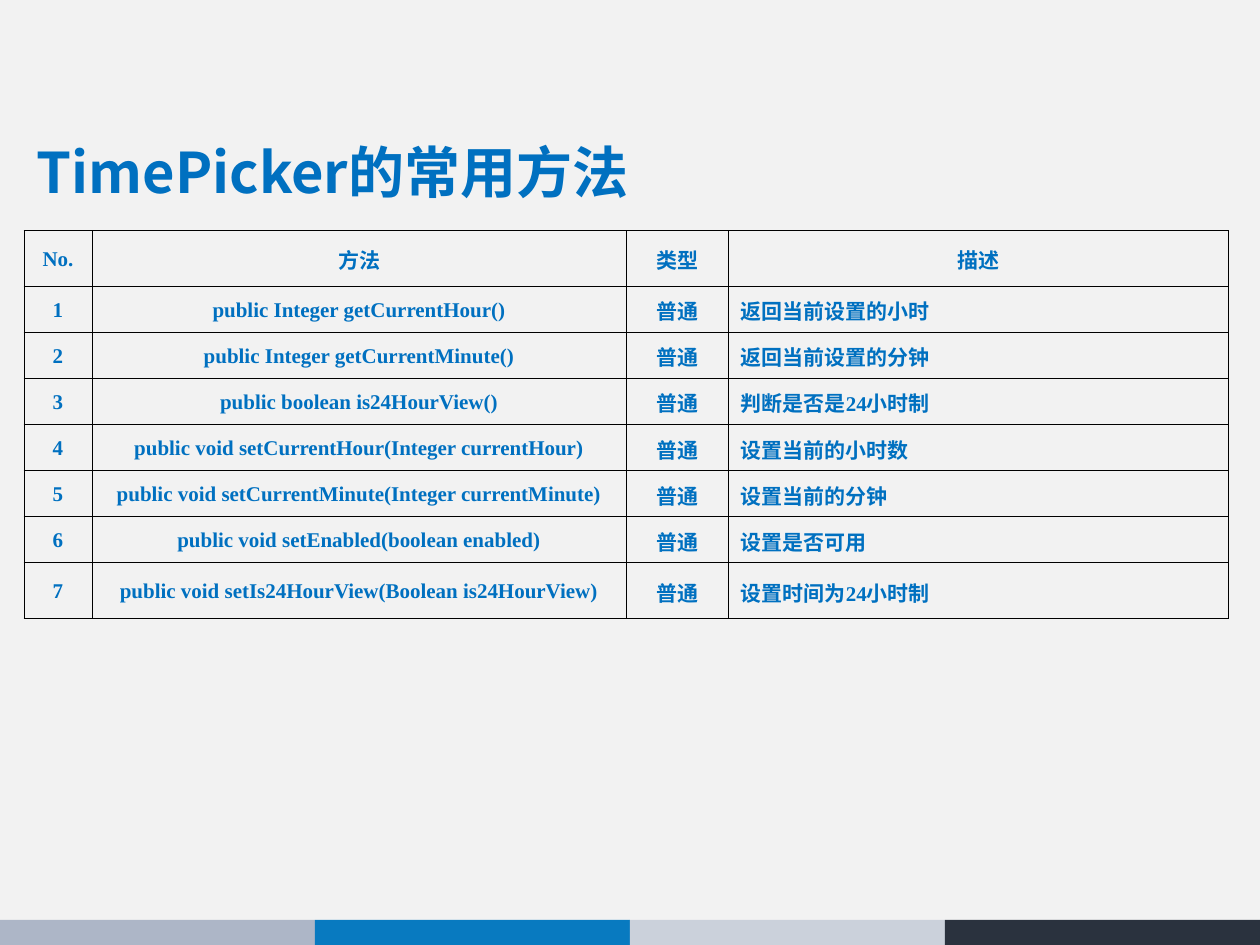
from lxml.etree import SubElement
from pptx import Presentation
from pptx.dml.color import RGBColor
from pptx.enum.shapes import MSO_SHAPE
from pptx.enum.text import MSO_ANCHOR, MSO_AUTO_SIZE, PP_ALIGN
from pptx.oxml.ns import qn
from pptx.util import Inches, Pt

BACKGROUND = RGBColor(0xF2, 0xF2, 0xF2)
TEXT_BLUE = RGBColor(0x00, 0x70, 0xC0)
BORDER = RGBColor(0x00, 0x00, 0x00)
BAR_COLORS = [
    RGBColor(0xAD, 0xB6, 0xC7),
    RGBColor(0x08, 0x7A, 0xC0),
    RGBColor(0xCB, 0xD1, 0xDB),
    RGBColor(0x2A, 0x32, 0x3E),
]
CJK_FONT = "Noto Sans CJK SC"
LATIN_FONT = "Times New Roman"

HEADERS = ["No.", "方法", "类型", "描述"]
METHOD_TYPE = "普通"
METHODS = [
    ("public Integer getCurrentHour()", "返回当前设置的小时"),
    ("public Integer getCurrentMinute()", "返回当前设置的分钟"),
    ("public boolean is24HourView()", "判断是否是24小时制"),
    ("public void setCurrentHour(Integer currentHour)", "设置当前的小时数"),
    ("public void setCurrentMinute(Integer currentMinute)", "设置当前的分钟"),
    ("public void setEnabled(boolean enabled)", "设置是否可用"),
    ("public void setIs24HourView(Boolean is24HourView)", "设置时间为24小时制"),
]
COLUMN_WIDTHS = [0.54, 4.24, 0.81, 3.97]
ROW_HEIGHTS = [0.44] + [0.32] * 6 + [0.44]


class SlideBuilder:
    def __init__(self, slide):
        self.slide = slide
        fill = slide.background.fill
        fill.solid()
        fill.fore_color.rgb = BACKGROUND

    def style_paragraph(self, paragraph, font_name, size, alignment, line_spacing):
        paragraph.alignment = alignment
        paragraph.line_spacing = line_spacing
        font = paragraph.font
        font.name = font_name
        font.size = Pt(size)
        font.bold = True
        font.color.rgb = TEXT_BLUE
        properties = paragraph._p.pPr.find(qn("a:defRPr"))
        SubElement(properties, qn("a:ea"), typeface=CJK_FONT)

    def add_title(self, text, left, top, width, height):
        title = self.slide.shapes.title
        title.left, title.top = Inches(left), Inches(top)
        title.width, title.height = Inches(width), Inches(height)
        frame = title.text_frame
        frame.text = text
        frame.auto_size = MSO_AUTO_SIZE.NONE
        frame.vertical_anchor = MSO_ANCHOR.MIDDLE
        self.style_paragraph(frame.paragraphs[0], CJK_FONT, 32, PP_ALIGN.LEFT, 0.9)

    def add_bar(self, color, left, top, width, height):
        bar = self.slide.shapes.add_shape(
            MSO_SHAPE.RECTANGLE, Inches(left), Inches(top), Inches(width), Inches(height)
        )
        bar.shadow.inherit = False
        bar.fill.solid()
        bar.fill.fore_color.rgb = color
        bar.line.fill.background()

    def add_table(self, rows, left, top):
        table = self.slide.shapes.add_table(
            len(rows), len(COLUMN_WIDTHS), Inches(left), Inches(top),
            Inches(sum(COLUMN_WIDTHS)), Inches(sum(ROW_HEIGHTS)),
        ).table
        table.first_row = False
        table.horz_banding = False
        for column, width in zip(table.columns, COLUMN_WIDTHS):
            column.width = Inches(width)
        for row, height in zip(table.rows, ROW_HEIGHTS):
            row.height = Inches(height)
        for row_index, texts in enumerate(rows):
            for column_index, text in enumerate(texts):
                is_description = row_index > 0 and column_index == 3
                alignment = PP_ALIGN.JUSTIFY if is_description else PP_ALIGN.CENTER
                self.fill_cell(table.cell(row_index, column_index), text, alignment)

    def fill_cell(self, cell, text, alignment):
        cell.text = text
        cell.vertical_anchor = MSO_ANCHOR.MIDDLE
        paragraph = cell.text_frame.paragraphs[0]
        self.style_paragraph(paragraph, LATIN_FONT, 12, alignment, 1.1)
        paragraph.space_before = Pt(12)
        indent = Inches(0.44)
        paragraph._p.pPr.set("marL", str(indent))
        paragraph._p.pPr.set("indent", str(-indent))
        self.add_borders(cell)
        cell.fill.background()

    def add_borders(self, cell):
        properties = cell._tc.get_or_add_tcPr()
        for side in ("lnL", "lnR", "lnT", "lnB"):
            line = SubElement(properties, qn(f"a:{side}"), w=str(Pt(0.45)))
            fill = SubElement(line, qn("a:solidFill"))
            SubElement(fill, qn("a:srgbClr"), val=str(BORDER))


def main():
    presentation = Presentation()
    presentation.slide_width = Inches(10)
    presentation.slide_height = Inches(7.5)
    title_only = presentation.slide_layouts[5]
    builder = SlideBuilder(presentation.slides.add_slide(title_only))

    bar_width = 10 / len(BAR_COLORS)
    for index, color in enumerate(BAR_COLORS):
        builder.add_bar(color, index * bar_width, 7.3, bar_width, 0.2)
    builder.add_title("TimePicker的常用方法", 0.19, 0.96, 9.57, 0.86)
    rows = [HEADERS]
    for number, (method, description) in enumerate(METHODS, start=1):
        rows.append([str(number), method, METHOD_TYPE, description])
    builder.add_table(rows, 0.19, 1.83)
    presentation.save("out.pptx")


if __name__ == "__main__":
    main()
